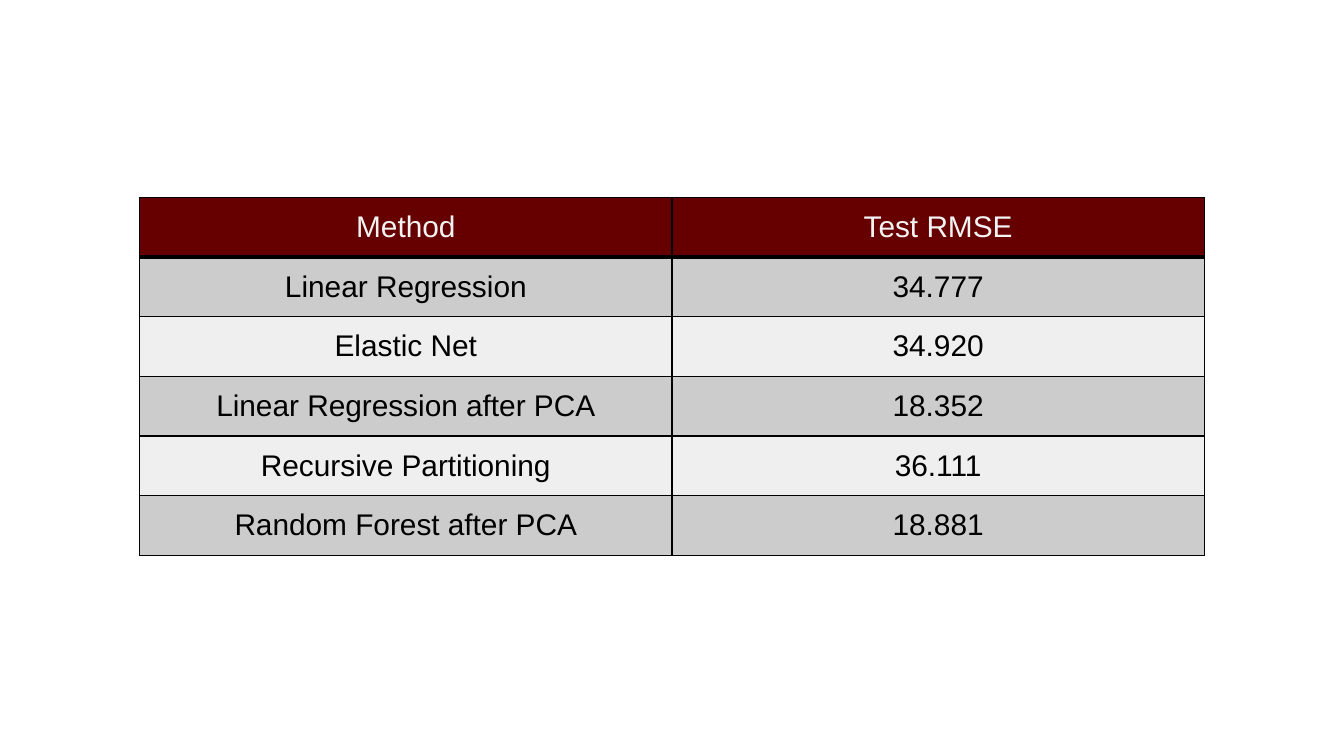
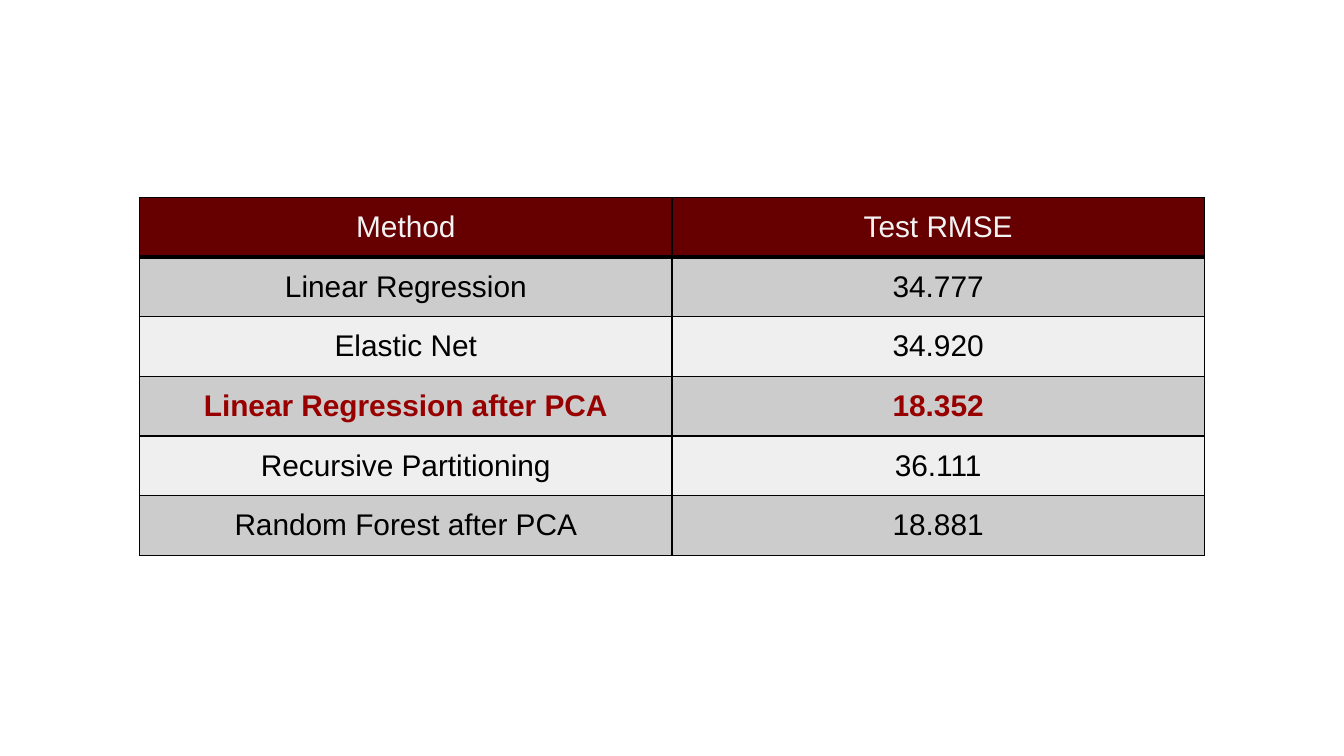
from dataclasses import dataclass

import lxml.etree
import pptx
import pptx.dml.color
import pptx.enum.text
import pptx.oxml.ns
import pptx.presentation
import pptx.table
import pptx.util

Cm = pptx.util.Cm
Pt = pptx.util.Pt
RGB = pptx.dml.color.RGBColor

MAROON = RGB(0x66, 0x00, 0x00)
RED = RGB(0x98, 0x00, 0x00)
PALE = RGB(0xF3, 0xF3, 0xF3)
BLACK = RGB(0x00, 0x00, 0x00)
BANDS = (RGB(0xCC, 0xCC, 0xCC), RGB(0xEF, 0xEF, 0xEF))

FONT = "Arial"
THIN = Pt(0.75)
THICK = Pt(3)
PAD = Cm(0.25)
LEFT, TOP = Cm(2.64), Cm(3.73)
WIDTH, HEIGHT = Cm(20.12), Cm(7.11)
ROW = Cm(1.07)
HEADS = ("Method", "Test RMSE")


@dataclass(frozen=True)
class Score:
    method: str
    rmse: str


SCORES = (
    Score("Linear Regression", "34.777"),
    Score("Elastic Net", "34.920"),
    Score("Linear Regression after PCA", "18.352"),
    Score("Recursive Partitioning", "36.111"),
    Score("Random Forest after PCA", "18.881"),
)
BEST = min(SCORES, key=lambda score: float(score.rmse))


def write(cell: pptx.table._Cell, text: str, *, color: RGB, bold: bool = False) -> None:
    para = cell.text_frame.paragraphs[0]
    para.alignment = pptx.enum.text.PP_ALIGN.CENTER
    run = para.add_run()
    run.text = text
    run.font.name = FONT
    run.font.size = Pt(16)
    run.font.bold = bold
    run.font.color.rgb = color


def frame(cell: pptx.table._Cell, top: int, base: int) -> None:
    """Draw the four borders; they must come before the fill in the XML."""
    qn = pptx.oxml.ns.qn
    props = cell._tc.get_or_add_tcPr()
    for side, width in (("L", THIN), ("R", THIN), ("T", top), ("B", base)):
        line = lxml.etree.SubElement(props, qn(f"a:ln{side}"), w=str(int(width)))
        fill = lxml.etree.SubElement(line, qn("a:solidFill"))
        lxml.etree.SubElement(fill, qn("a:srgbClr"), val=str(BLACK))


def fill_row(table: pptx.table.Table, row: int, texts: tuple[str, str],
             back: RGB, color: RGB, bold: bool = False) -> None:
    table.rows[row].height = ROW
    for col, text in enumerate(texts):
        cell = table.cell(row, col)
        cell.margin_left = cell.margin_right = PAD
        cell.margin_top = cell.margin_bottom = PAD
        frame(cell, THICK if row == 1 else THIN, THICK if row == 0 else THIN)
        cell.fill.solid()
        cell.fill.fore_color.rgb = back
        write(cell, text, color=color, bold=bold)


def add_scores(deck: pptx.presentation.Presentation, mark: Score | None = None) -> None:
    """Add a slide with the table of scores, with one row marked if given."""
    slide = deck.slides.add_slide(deck.slide_layouts[6])
    shape = slide.shapes.add_table(len(SCORES) + 1, len(HEADS), LEFT, TOP, WIDTH, HEIGHT)
    table = shape.table
    table.first_row = table.horz_banding = False
    fill_row(table, 0, HEADS, MAROON, PALE)
    for row, score in enumerate(SCORES, start=1):
        best = score == mark
        fill_row(table, row, (score.method, score.rmse), BANDS[(row - 1) % 2],
                 RED if best else BLACK, best)
    shape.height = HEIGHT


def main() -> None:
    deck = pptx.Presentation()
    deck.slide_width = Cm(25.4)
    deck.slide_height = Cm(14.29)
    add_scores(deck)
    add_scores(deck, mark=BEST)
    deck.save("out.pptx")


if __name__ == "__main__":
    main()
